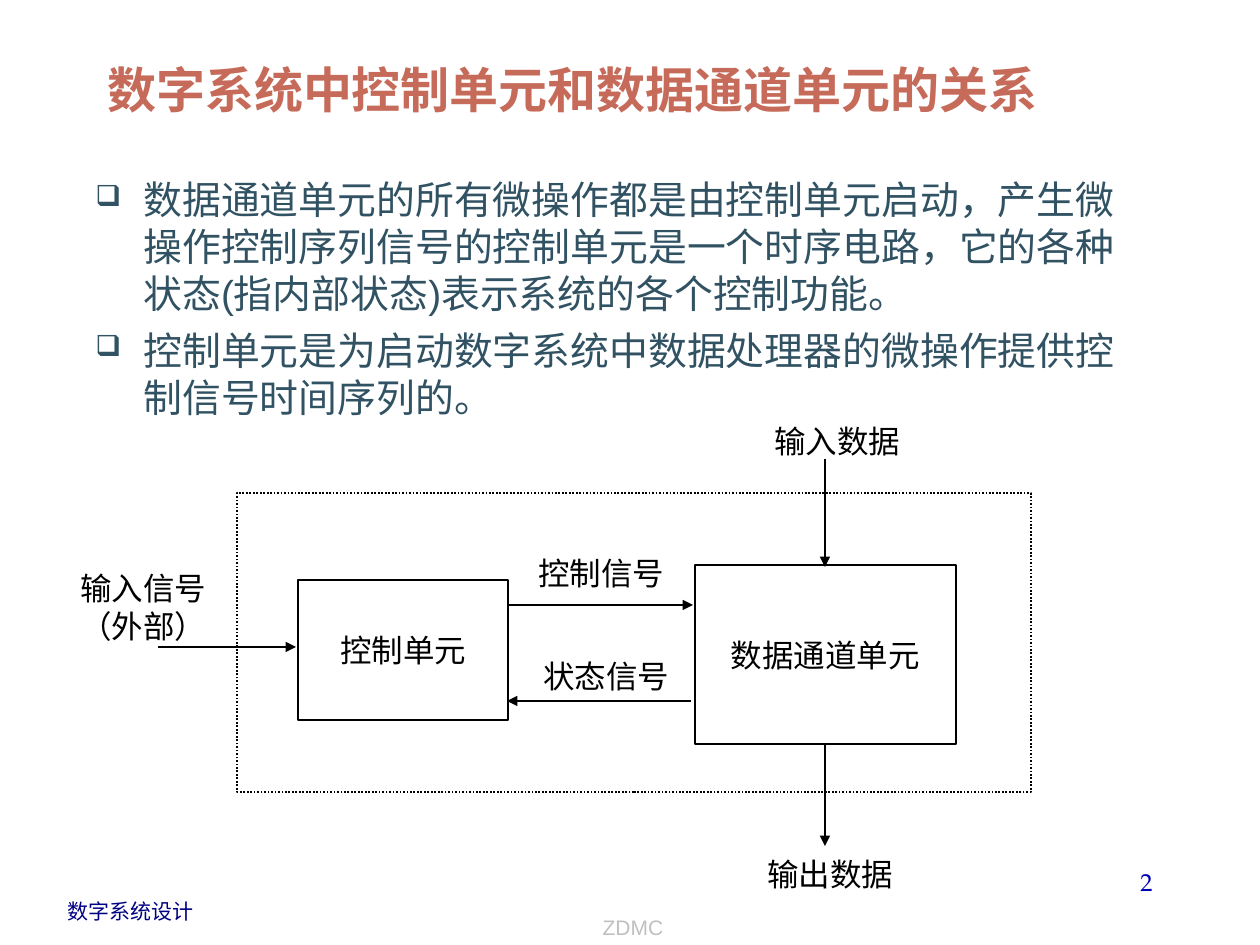
from lxml import etree
from pptx import Presentation
from pptx.dml.color import RGBColor
from pptx.enum.dml import MSO_LINE
from pptx.enum.shapes import MSO_CONNECTOR, MSO_SHAPE
from pptx.enum.text import MSO_ANCHOR, PP_ALIGN
from pptx.oxml.ns import qn
from pptx.util import Emu, Pt

LEFT, CENTER, RIGHT = PP_ALIGN.LEFT, PP_ALIGN.CENTER, PP_ALIGN.RIGHT
TOP, MIDDLE, BOTTOM = MSO_ANCHOR.TOP, MSO_ANCHOR.MIDDLE, MSO_ANCHOR.BOTTOM
RECTANGLE, STRAIGHT, DOTTED = MSO_SHAPE.RECTANGLE, MSO_CONNECTOR.STRAIGHT, MSO_LINE.ROUND_DOT

PX = 914400 / 126
COLORS = {
    "title": "C66B5A", "body": "315263", "course": "000082",
    "number": "0000B6", "footer": "C0C0C0", "ink": "000000", "paper": "FFFFFF",
}


def px(*lengths):
    """Turn pixel lengths into a list of EMU lengths."""
    return [Emu(round(length * PX)) for length in lengths]


def write(shape, lines, size, color, font="Arial", align=LEFT, anchor=TOP, wrap=False, bold=False):
    """Fill the shape with one paragraph per line and return the paragraphs."""
    frame = shape.text_frame
    frame.word_wrap = wrap
    frame.vertical_anchor = anchor
    for index, line in enumerate(lines):
        paragraph = frame.add_paragraph() if index else frame.paragraphs[0]
        paragraph.alignment = align
        run = paragraph.add_run()
        run.text = line
        run.font.name = font
        run.font.size = Pt(size)
        run.font.bold = bold
        run.font.color.rgb = RGBColor.from_string(COLORS[color])
    return frame.paragraphs


presentation = Presentation()
presentation.slide_width, presentation.slide_height = px(1260, 945)
slide = presentation.slides.add_slide(presentation.slide_layouts[6])
shapes = slide.shapes

# Footer, title and body
course = shapes.add_textbox(*px(55, 892, 151, 38))
write(course, ["数字系统设计"], 12, "course")
page_number = shapes.add_textbox(*px(903, 861, 262, 63))
write(page_number, ["2"], 14, "number", "TeX Gyre Pagella", RIGHT, wrap=True)
footer = shapes.add_textbox(*px(326, 882, 614, 64))
write(footer, ["ZDMC"], 12, "footer", align=CENTER, anchor=BOTTOM, wrap=True)
title = shapes.add_textbox(*px(95, 31, 1071, 94))
write(title, ["数字系统中控制单元和数据通道单元的关系"], 28, "title", "Arial Narrow",
      anchor=BOTTOM, wrap=True, bold=True)

body = shapes.add_textbox(*px(83, 170, 1071, 275))
points = write(body, [
    "数据通道单元的所有微操作都是由控制单元启动，产生微操作控制序列信号的控制单元是一个时序电路，"
    "它的各种状态(指内部状态)表示系统的各个控制功能。",
    "控制单元是为启动数字系统中数据处理器的微操作提供控制信号时间序列的。",
], 22.2, "body", wrap=True)
indent, = px(48)
for index, point in enumerate(points):
    properties = point._p.get_or_add_pPr()
    properties.set("marL", str(indent))
    properties.set("indent", str(-indent))
    bullet_color = etree.SubElement(properties, qn("a:buClr"))
    etree.SubElement(bullet_color, qn("a:srgbClr"), val=COLORS["body"])
    etree.SubElement(properties, qn("a:buSzPct"), val="75000")
    etree.SubElement(properties, qn("a:buChar"), char="❑")
    if index:
        point.space_before = Pt(6)

# System boundary and the two units inside it
for unit, box in [
    ("", (237, 493, 794, 299)),
    ("控制单元", (298, 580, 210, 140)),
    ("数据通道单元", (695, 565, 261, 179)),
]:
    block = shapes.add_shape(RECTANGLE, *px(*box))
    block.shadow.inherit = False
    block.fill.solid()
    block.fill.fore_color.rgb = RGBColor.from_string(COLORS["paper"])
    block.line.color.rgb = RGBColor.from_string(COLORS["ink"])
    block.line.width = Pt(1)
    if unit:
        write(block, [unit], 18, "ink", align=CENTER, anchor=MIDDLE)
    else:
        block.line.dash_style = DOTTED

# Signals and data: arrow from start to end, with its label
for lines, label_box, arrow in [
    (["控制信号"], (526, 548, 151, 51), (508, 605, 693, 605)),
    (["状态信号"], (531, 651, 151, 51), (691, 701, 507, 701)),
    (["输入数据"], (762, 416, 151, 51), (825, 459, 825, 567)),
    (["输入信号", "（外部）"], (68, 563, 151, 88), (158, 647, 296, 647)),
    (["输出数据"], (755, 849, 151, 51), (825, 744, 825, 846)),
]:
    flow = shapes.add_connector(STRAIGHT, *px(*arrow))
    flow.line.color.rgb = RGBColor.from_string(COLORS["ink"])
    flow.line.width = Pt(1)
    etree.SubElement(flow.line._get_or_add_ln(), qn("a:tailEnd"), type="triangle")
    etree.SubElement(flow._element.spPr, qn("a:effectLst"))
    label = shapes.add_textbox(*px(*label_box))
    write(label, lines, 18, "ink")

presentation.save("out.pptx")
